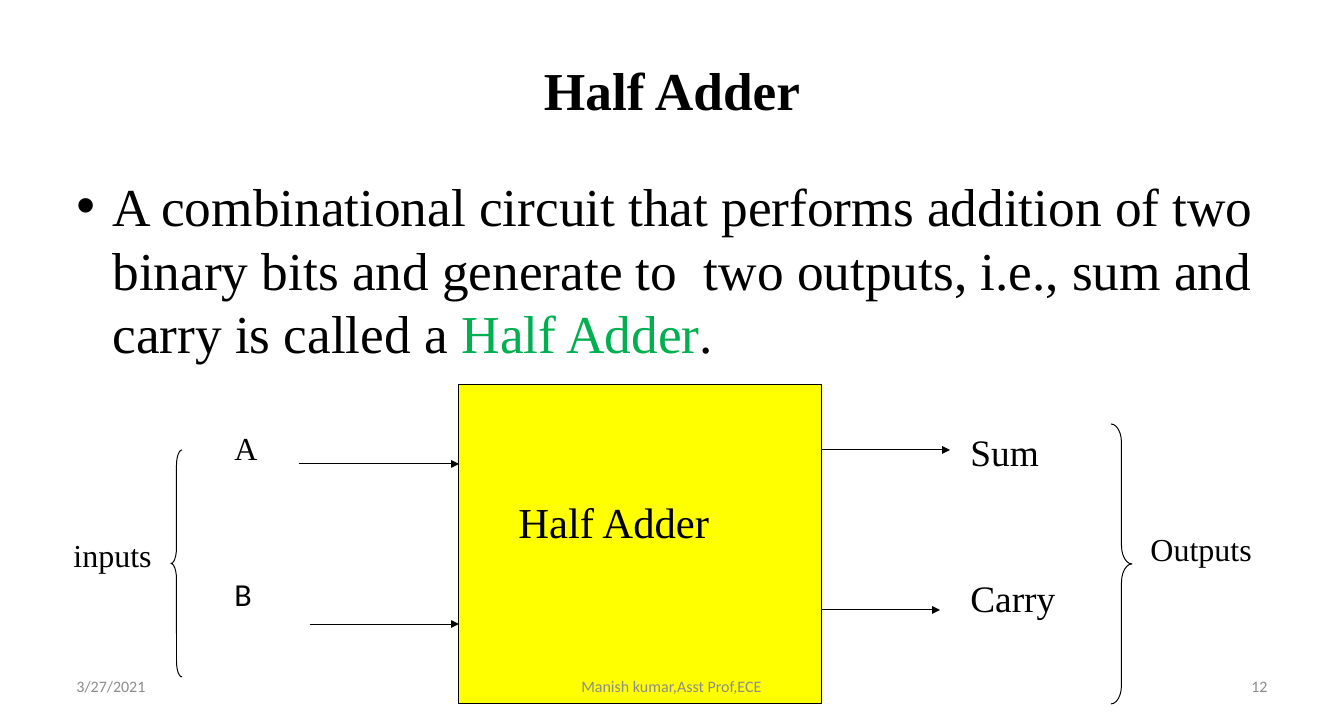
from lxml.etree import SubElement
from pptx import Presentation
from pptx.dml.color import RGBColor
from pptx.enum.shapes import MSO_CONNECTOR, MSO_SHAPE
from pptx.enum.text import MSO_ANCHOR, PP_ALIGN
from pptx.oxml.ns import qn
from pptx.util import Emu, Pt

PX = 9525
BLACK = RGBColor(0x00, 0x00, 0x00)
YELLOW = RGBColor(0xFF, 0xFF, 0x00)
GREEN = RGBColor(0x00, 0xB0, 0x50)
GRAY = RGBColor(0x8C, 0x8C, 0x8C)
SERIF, SANS = "Times New Roman", "Calibri"


def px(*lengths):
    return [Emu(length * PX) for length in lengths]


def write(para, text, size=24, font=SERIF, color=BLACK, bold=False):
    span = para.add_run()
    span.text = text
    span.font.size = Pt(size)
    span.font.name = font
    span.font.color.rgb = color
    span.font.bold = bold


def add_text(slide, text, place, align=PP_ALIGN.LEFT, anchor=MSO_ANCHOR.TOP, **style):
    """Add a wrapped text box at place and return its paragraph."""
    frame = slide.shapes.add_textbox(*px(*place)).text_frame
    frame.word_wrap = True
    frame.vertical_anchor = anchor
    para = frame.paragraphs[0]
    para.alignment = align
    write(para, text, **style)
    return para


def add_bullet(para, indent):
    properties = para._p.get_or_add_pPr()
    properties.set("marL", str(indent * PX))
    properties.set("indent", str(-indent * PX))
    SubElement(properties, qn("a:buFont")).set("typeface", "Arial")
    SubElement(properties, qn("a:buChar")).set("char", "•")


def add_outline(slide, kind, place, fill=None):
    shape = slide.shapes.add_shape(kind, *px(*place))
    shape.shadow.inherit = False
    if fill is None:
        shape.fill.background()
    else:
        shape.fill.solid()
        shape.fill.fore_color.rgb = fill
    shape.line.color.rgb = BLACK
    shape.line.width = Pt(0.75)
    return shape


def add_brace(slide, kind, place, curl):
    brace = add_outline(slide, kind, place)
    brace.adjustments[0] = curl
    brace.adjustments[1] = 0.5


def add_arrow(slide, left, right, y):
    arrow = slide.shapes.add_connector(MSO_CONNECTOR.STRAIGHT, *px(left, y, right, y))
    arrow.line.color.rgb = BLACK
    arrow.line.width = Pt(0.75)
    SubElement(arrow.line._get_or_add_ln(), qn("a:tailEnd")).set("type", "triangle")
    SubElement(arrow._element.spPr, qn("a:effectLst"))


def add_title(slide, text):
    title = slide.shapes.title
    title.left, title.top, title.width, title.height = px(67, 29, 1210, 120)
    title.text_frame.vertical_anchor = MSO_ANCHOR.MIDDLE
    para = title.text_frame.paragraphs[0]
    para.alignment = PP_ALIGN.CENTER
    write(para, text, size=40, bold=True)


def add_definition(slide):
    para = add_text(
        slide,
        "A combinational circuit that performs addition of two binary bits "
        "and generate to  two outputs, i.e., sum and carry is called a ",
        (67, 168, 1210, 475), size=40)
    add_bullet(para, 36)
    write(para, "Half Adder", size=40, color=GREEN)
    write(para, ".", size=40)


def add_diagram(slide):
    block_left, block_right = 459, 822
    add_outline(slide, MSO_SHAPE.RECTANGLE,
                (block_left, 384, block_right - block_left, 320), fill=YELLOW)
    for start, y in ((299, 464), (310, 624)):
        add_arrow(slide, start, block_left, y)
    for end, y in ((950, 450), (940, 610)):
        add_arrow(slide, block_right, end, y)

    add_text(slide, "Half Adder", (509, 491, 281, 61), size=32)
    top_row, bottom_row = 424, 570
    add_text(slide, "A", (225, top_row, 64, 48))
    add_text(slide, "B", (225, bottom_row, 64, 48), font=SANS)
    add_text(slide, "Sum", (961, top_row, 107, 55), size=28)
    add_text(slide, "Carry", (961, bottom_row, 139, 55), size=28)

    add_brace(slide, MSO_SHAPE.LEFT_BRACE, (171, 450, 11, 227), 1.42)
    add_text(slide, "inputs", (64, 531, 117, 48))
    add_brace(slide, MSO_SHAPE.RIGHT_BRACE, (1111, 424, 21, 280), 0.88)
    add_text(slide, "Outputs", (1141, 525, 147, 48))


def add_footer(slide):
    for text, left, width, align in (
        ("3/27/2021", 67, 314, PP_ALIGN.LEFT),
        ("Manish kumar,Asst Prof,ECE", 459, 425, PP_ALIGN.CENTER),
        ("12", 963, 314, PP_ALIGN.RIGHT),
    ):
        add_text(slide, text, (left, 667, width, 38), align=align,
                 anchor=MSO_ANCHOR.MIDDLE, size=12, font=SANS, color=GRAY)


def main():
    deck = Presentation()
    deck.slide_width, deck.slide_height = px(1344, 720)
    slide = deck.slides.add_slide(deck.slide_layouts[5])
    add_title(slide, "Half Adder")
    add_definition(slide)
    add_diagram(slide)
    add_footer(slide)
    deck.save("out.pptx")


if __name__ == "__main__":
    main()
